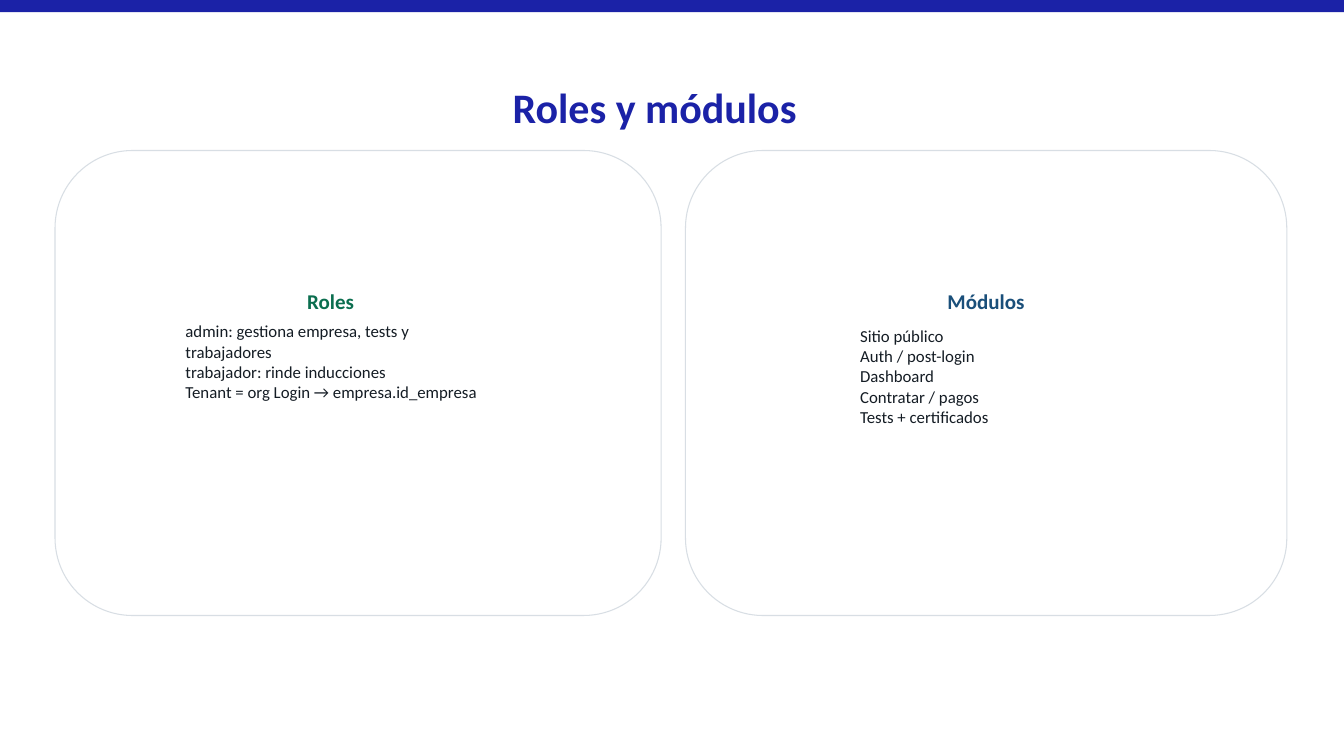
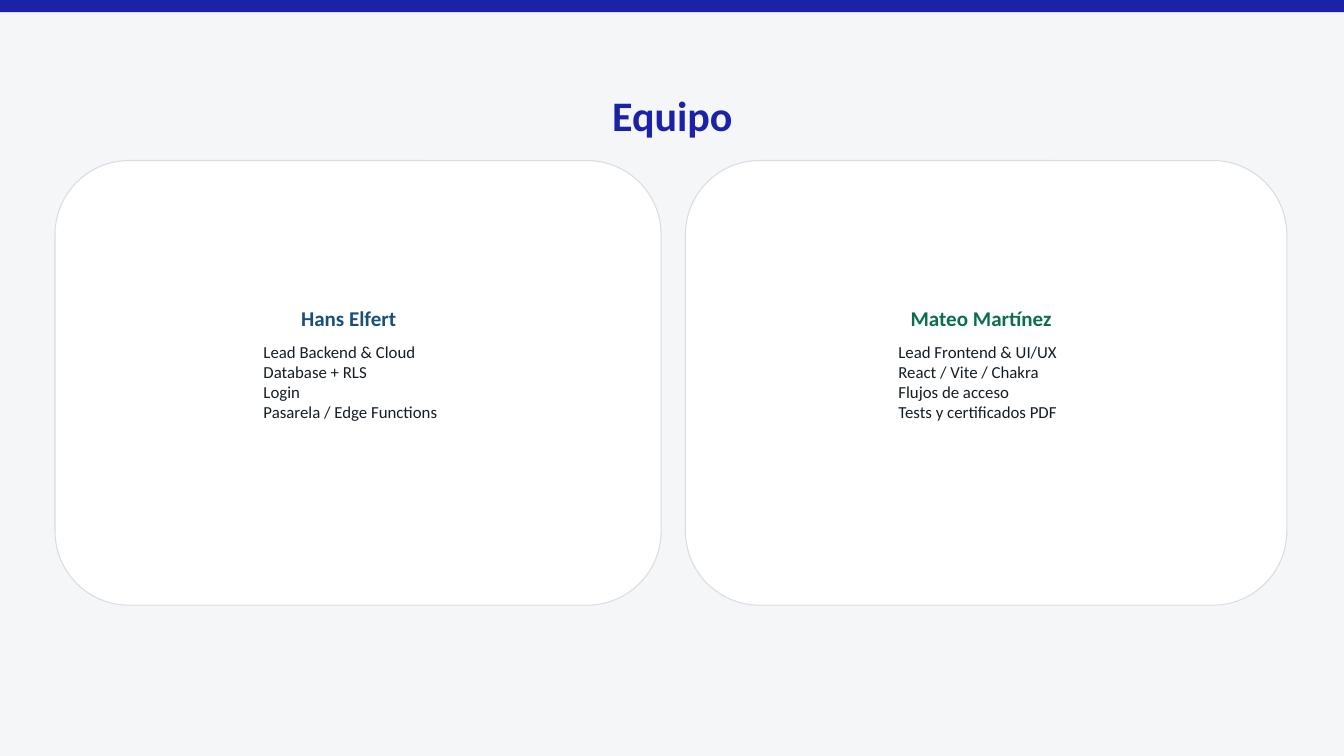
from dataclasses import dataclass
from typing import NamedTuple

from pptx import Presentation, util as u
from pptx.dml.color import RGBColor
from pptx.enum import shapes, text as txt
from pptx.slide import Slide


@dataclass(frozen=True)
class Theme:
    font: str = "Calibri"
    brand: str = "1B22A7"
    green: str = "0B6E4F"
    blue: str = "1A4F7A"
    ink: str = "141C24"
    border: str = "D8DEE4"
    white: str = "FFFFFF"
    mist: str = "F4F6F8"
    title_size: float = 45
    heading_size: float = 22.5
    body_size: float = 18
    leading: float = 1.2
    border_width: float = 1.13


THEME = Theme()
SLIDE_WIDTH, SLIDE_HEIGHT = 50.8, 28.58
BAND_HEIGHT = 0.46
TITLE_HEIGHT, HEADING_HEIGHT = 2.16, 1.12
CARD_COLUMNS = ((2.08, 22.91), (25.91, 22.73))  # left and width


class Frame(NamedTuple):
    """Left, top, width and height in centimetres."""
    left: float
    top: float
    width: float
    height: float

    def lengths(self) -> list[u.Length]:
        return [u.Cm(value) for value in self]


@dataclass(frozen=True)
class Card:
    heading: str
    colour: str
    heading_frame: Frame
    lines: tuple[str, ...]
    body_frame: Frame


@dataclass(frozen=True)
class CardPage:
    title: str
    title_frame: Frame
    background: str
    card_top: float
    card_height: float
    cards: tuple[Card, Card]


PAGES = (
    CardPage(
        "Roles y módulos", Frame(19.38, 3.07, 12.07, TITLE_HEIGHT), THEME.white, 5.69, 17.58,
        (
            Card("Roles", THEME.green, Frame(11.61, 10.9, 2.16, HEADING_HEIGHT),
                 ("admin: gestiona empresa, tests y trabajadores",
                  "trabajador: rinde inducciones",
                  "Tenant = org Login → empresa.id_empresa"),
                 Frame(7.01, 12.14, 11.33, 3.07)),
            Card("Módulos", THEME.blue, Frame(35.81, 10.9, 2.92, HEADING_HEIGHT),
                 ("Sitio público", "Auth / post-login", "Dashboard",
                  "Contratar / pagos", "Tests + certificados"),
                 Frame(32.51, 12.32, 9.55, 3.81)),
        ),
    ),
    CardPage(
        "Equipo", Frame(23.14, 3.4, 4.57, TITLE_HEIGHT), THEME.mist, 6.07, 16.81,
        (
            Card("Hans Elfert", THEME.blue, Frame(11.38, 11.56, 4.88, HEADING_HEIGHT),
                 ("Lead Backend & Cloud", "Database + RLS", "Login",
                  "Pasarela / Edge Functions"),
                 Frame(9.96, 12.9, 7.72, 3.07)),
            Card("Mateo Martínez", THEME.green, Frame(34.42, 11.56, 5.72, HEADING_HEIGHT),
                 ("Lead Frontend & UI/UX", "React / Vite / Chakra",
                  "Flujos de acceso", "Tests y certificados PDF"),
                 Frame(33.96, 12.9, 6.63, 3.07)),
        ),
    ),
)


def add_text(page: Slide, frame: Frame, *lines: str, size: float, colour: str,
             bold: bool = False) -> None:
    """Add a text box without margins, one paragraph per line."""
    box = page.shapes.add_textbox(*frame.lengths())
    body = box.text_frame
    body.margin_left = body.margin_top = body.margin_right = body.margin_bottom = 0
    body.word_wrap = True
    body.auto_size = txt.MSO_AUTO_SIZE.SHAPE_TO_FIT_TEXT
    for index, line in enumerate(lines):
        para = body.add_paragraph() if index else body.paragraphs[0]
        para.line_spacing = u.Pt(size * THEME.leading)
        span = para.add_run()
        span.text = line
        span.font.name = THEME.font
        span.font.size = u.Pt(size)
        span.font.bold = bold
        span.font.color.rgb = RGBColor.from_string(colour)


def add_panel(page: Slide, kind: shapes.MSO_SHAPE, frame: Frame, fill: str,
              border: str | None = None) -> None:
    panel = page.shapes.add_shape(kind, *frame.lengths())
    panel.shadow.inherit = False
    panel.fill.solid()
    panel.fill.fore_color.rgb = RGBColor.from_string(fill)
    if border:
        panel.line.color.rgb = RGBColor.from_string(border)
        panel.line.width = u.Pt(THEME.border_width)
    else:
        panel.line.fill.background()


def add_card(page: Slide, card: Card, frame: Frame) -> None:
    add_panel(page, shapes.MSO_SHAPE.ROUNDED_RECTANGLE, frame, THEME.white, THEME.border)
    add_text(page, card.heading_frame, card.heading,
             size=THEME.heading_size, colour=card.colour, bold=True)
    add_text(page, card.body_frame, *card.lines, size=THEME.body_size, colour=THEME.ink)


def add_card_page(deck: Presentation, content: CardPage) -> None:
    page = deck.slides.add_slide(deck.slide_layouts[6])
    page.background.fill.solid()
    page.background.fill.fore_color.rgb = RGBColor.from_string(content.background)
    add_panel(page, shapes.MSO_SHAPE.RECTANGLE, Frame(0, 0, SLIDE_WIDTH, BAND_HEIGHT), THEME.brand)
    add_text(page, content.title_frame, content.title,
             size=THEME.title_size, colour=THEME.brand, bold=True)
    for card, (left, width) in zip(content.cards, CARD_COLUMNS):
        add_card(page, card, Frame(left, content.card_top, width, content.card_height))


def main() -> None:
    deck = Presentation()
    deck.slide_width, deck.slide_height = u.Cm(SLIDE_WIDTH), u.Cm(SLIDE_HEIGHT)
    for content in PAGES:
        add_card_page(deck, content)
    deck.save("out.pptx")


if __name__ == "__main__":
    main()
